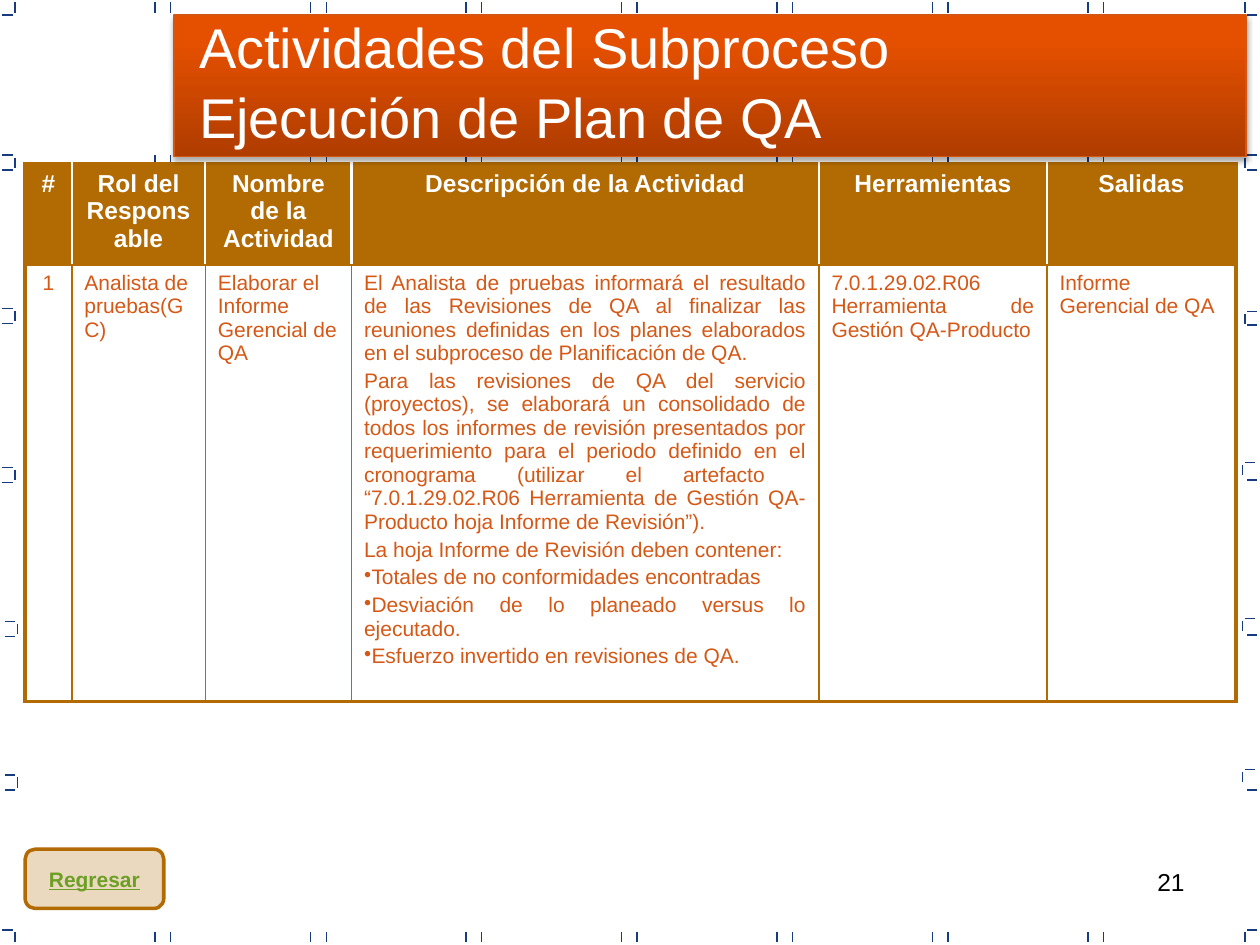
from lxml import etree
from pptx import Presentation
from pptx.dml.color import RGBColor
from pptx.enum.shapes import MSO_CONNECTOR, MSO_SHAPE
from pptx.enum.text import MSO_ANCHOR, MSO_AUTO_SIZE, PP_ALIGN
from pptx.oxml.ns import qn
from pptx.util import Inches, Pt

LEFT, CENTER, RIGHT, JUSTIFY = PP_ALIGN.LEFT, PP_ALIGN.CENTER, PP_ALIGN.RIGHT, PP_ALIGN.JUSTIFY
MIDDLE, TOP = MSO_ANCHOR.MIDDLE, MSO_ANCHOR.TOP
NO_FIT = MSO_AUTO_SIZE.NONE
RECT, BUTTON = MSO_SHAPE.RECTANGLE, MSO_SHAPE.FLOWCHART_ALTERNATE_PROCESS
STRAIGHT = MSO_CONNECTOR.STRAIGHT

WHITE = RGBColor(0xFF, 0xFF, 0xFF)
BLACK = RGBColor(0x00, 0x00, 0x00)
NAVY = RGBColor(0x16, 0x3B, 0x7F)
BROWN = RGBColor(0xB2, 0x6B, 0x02)
RUST = RGBColor(0xD5, 0x58, 0x16)
GREEN = RGBColor(0x6B, 0x9F, 0x25)
EMBER_DARK = RGBColor(0xAF, 0x3D, 0x00)
EMBER = RGBColor(0xE4, 0x4F, 0x00)
EMBER_LINE = RGBColor(0xD5, 0x55, 0x11)

COLS, ROWS = 1000, 750  # grid that all positions are given in
TICK, GAP = 8, 2        # length of a frame tick, and its distance from the corner

HEADERS = ["#", "Rol del Responsable", "Nombre de la Actividad",
           "Descripción de la Actividad", "Herramientas", "Salidas"]
ACTIVITY = [
    ["1"],
    ["Analista de pruebas(GC)"],
    ["Elaborar el Informe Gerencial de QA"],
    ["El Analista de pruebas informará el resultado de las Revisiones de QA al finalizar "
     "las reuniones definidas en los planes elaborados en el subproceso de Planificación de QA.",
     "Para las revisiones de QA del servicio (proyectos), se elaborará un consolidado de "
     "todos los informes de revisión presentados por requerimiento para el periodo definido "
     "en el cronograma (utilizar el artefacto  “7.0.1.29.02.R06 Herramienta de Gestión "
     "QA-Producto hoja Informe de Revisión”).",
     "La hoja Informe de Revisión deben contener:",
     "•Totales de no conformidades encontradas",
     "•Desviación de lo planeado versus lo ejecutado.",
     "•Esfuerzo invertido en revisiones de QA."],
    ["7.0.1.29.02.R06 Herramienta de Gestión QA-Producto"],
    ["Informe Gerencial de QA"],
]
BODY_ALIGNS = [CENTER, LEFT, LEFT, JUSTIFY, JUSTIFY, LEFT]
COLUMN_WIDTHS = [37, 106, 116, 371, 181, 150]
ROW_HEIGHTS = [76, 325]


class Deck:
    font = "Arial"

    def __init__(self):
        self.prs = Presentation()
        self.prs.slide_width, self.prs.slide_height = Inches(10), Inches(7.5)
        self.s = self.prs.slides.add_slide(self.prs.slide_layouts[5])

    def x(self, n):
        return round(self.prs.slide_width * n / COLS)

    def y(self, n):
        return round(self.prs.slide_height * n / ROWS)

    def box(self, left, top, width, height):
        return self.x(left), self.y(top), self.x(width), self.y(height)

    def set_lines(self, tf, lines, size, color, align=LEFT, bold=False, underline=None, before=0):
        tf.word_wrap = True
        for i, line in enumerate(lines):
            p = tf.paragraphs[0] if i == 0 else tf.add_paragraph()
            p.text = line.removeprefix("•")
            p.alignment, p.space_before = align, Pt(before)
            if line.startswith("•"):
                p_pr = p._p.get_or_add_pPr()
                p_pr.set("marL", "0")
                p_pr.set("indent", "0")
                etree.SubElement(p_pr, qn("a:buChar"), char="•")
            for r in p.runs:
                f = r.font
                f.name, f.size, f.bold, f.underline = self.font, Pt(size), bold, underline
                f.color.rgb = color

    def title(self, lines, *place):
        sp = self.s.shapes.title
        sp.left, sp.top, sp.width, sp.height = self.box(*place)
        tf = sp.text_frame
        tf.auto_size, tf.vertical_anchor = NO_FIT, MIDDLE
        self.set_lines(tf, lines, 32, WHITE, before=1.8)
        sp.element.getparent().append(sp.element)  # in front of the banner

    def text(self, text, *place, size, color, align):
        tf = self.s.shapes.add_textbox(*self.box(*place)).text_frame
        tf.vertical_anchor = TOP
        self.set_lines(tf, [text], size, color, align)

    def shape(self, kind, *place, line, width):
        sp = self.s.shapes.add_shape(kind, *self.box(*place))
        sp.shadow.inherit = False
        sp.line.color.rgb, sp.line.width = line, Pt(width)
        return sp

    def banner(self, *place):
        sp = self.shape(RECT, *place, line=EMBER_LINE, width=0.75)
        sp.fill.gradient()
        sp.fill.gradient_angle = 90
        for stop, position, color in zip(sp.fill.gradient_stops, (0, 0.8), (EMBER_DARK, EMBER)):
            stop.position, stop.color.rgb = position, color
        effects = sp.element.spPr.find(qn("a:effectLst"))
        shadow = etree.SubElement(effects, qn("a:outerShdw"), blurRad=str(Pt(3.1)),
                                  dist=str(Pt(1.8)), dir="5400000", rotWithShape="0")
        tone = etree.SubElement(shadow, qn("a:srgbClr"), val=str(BLACK))
        etree.SubElement(tone, qn("a:alpha"), val="35000")

    def button(self, text, *place):
        sp = self.shape(BUTTON, *place, line=BROWN, width=2)
        sp.fill.solid()
        sp.fill.fore_color.rgb = BROWN
        tone = sp.element.spPr.find(qn("a:solidFill")).find(qn("a:srgbClr"))
        etree.SubElement(tone, qn("a:alpha"), val="25000")
        self.set_lines(sp.text_frame, [text], 12, GREEN, CENTER, bold=True, underline=True)
        sp.text_frame.vertical_anchor, sp.text_frame.word_wrap = MIDDLE, False

    def tick(self, x, y, dx=0, dy=0):
        c = self.s.shapes.add_connector(STRAIGHT, self.x(x), self.y(y), self.x(x + dx), self.y(y + dy))
        c.line.color.rgb, c.line.width = NAVY, Pt(0.75)
        etree.SubElement(c.element.spPr, qn("a:effectLst"))

    def borders(self, cell, **sides):
        tc_pr = cell._tc.get_or_add_tcPr()
        for i, side in enumerate("LRTB"):
            color, width = sides[side]
            ln = etree.Element(qn("a:ln" + side), w=str(Pt(width)))
            fill = etree.SubElement(ln, qn("a:solidFill"))
            etree.SubElement(fill, qn("a:srgbClr"), val=str(color))
            tc_pr.insert(i, ln)

    def table(self, left, top):
        place = self.box(left, top, sum(COLUMN_WIDTHS), sum(ROW_HEIGHTS))
        table = self.s.shapes.add_table(2, len(HEADERS), *place).table
        table.horz_banding = False
        for row, height in zip(table.rows, ROW_HEIGHTS):
            row.height = self.y(height)
        last, outer = len(HEADERS) - 1, (BROWN, 2.25)
        for c, width in enumerate(COLUMN_WIDTHS):
            table.columns[c].width = self.x(width)
            head, body = table.cell(0, c), table.cell(1, c)
            head.fill.solid()
            head.fill.fore_color.rgb = BROWN
            body.fill.background()
            self.set_lines(head.text_frame, [HEADERS[c]], 14, WHITE, CENTER, bold=True, before=2.8)
            self.set_lines(body.text_frame, ACTIVITY[c], 12, RUST, BODY_ALIGNS[c], before=2.4)
            for cell, inner, above, below in ((head, (WHITE, 1.5), outer, (BROWN, 1.5)),
                                              (body, (BROWN, 1), (BROWN, 1.5), outer)):
                self.borders(cell, L=outer if c == 0 else inner,
                             R=outer if c == last else inner, T=above, B=below)


def draw_frame(deck):
    # Pairs along the top and bottom edges, and brackets under the banner
    for i in range(7):
        x = 123 + 123.4 * i
        for dx in (0, 12.5):
            for y in (2, 740, 123):
                deck.tick(x + dx, y, dy=TICK)
        deck.tick(x + GAP, 133, dx=TICK)
    # Slide corners
    for x, side in ((12, 2), (988, 990)):
        for y in (2, 740):
            deck.tick(x, y, dy=TICK)
        for y in (12, 738):
            deck.tick(side, y, dx=TICK)
    # Brackets down the left and right edges
    left = [(12, 123), (12, 245), (12, 371), (14, 493), (14, 615)]
    right = [(988, 123), (988, 247), (986, 367), (986, 491), (986, 611)]
    for i, ((lx, ly), (rx, ry)) in enumerate(zip(left, right)):
        deck.tick(lx, ly + GAP, dy=TICK)
        deck.tick(rx, ry + GAP, dy=TICK)
        for y in (ly, ly + 12):
            deck.tick(lx - GAP - TICK, y, dx=TICK)
        deck.tick(rx + GAP, ry, dx=TICK)
        deck.tick(990, 135 + 123 * i, dx=TICK)


def main():
    deck = Deck()
    deck.text("21", 717, 683, 233, 52, size=14, color=BLACK, align=RIGHT)
    draw_frame(deck)
    deck.table(20, 130)
    deck.button("Regresar", 20, 674, 110, 47)
    deck.banner(138, 12, 851, 112)
    deck.title(["Actividades del Subproceso", "Ejecución de Plan de QA"], 148, 6, 832, 117)
    deck.prs.save("out.pptx")


if __name__ == "__main__":
    main()
